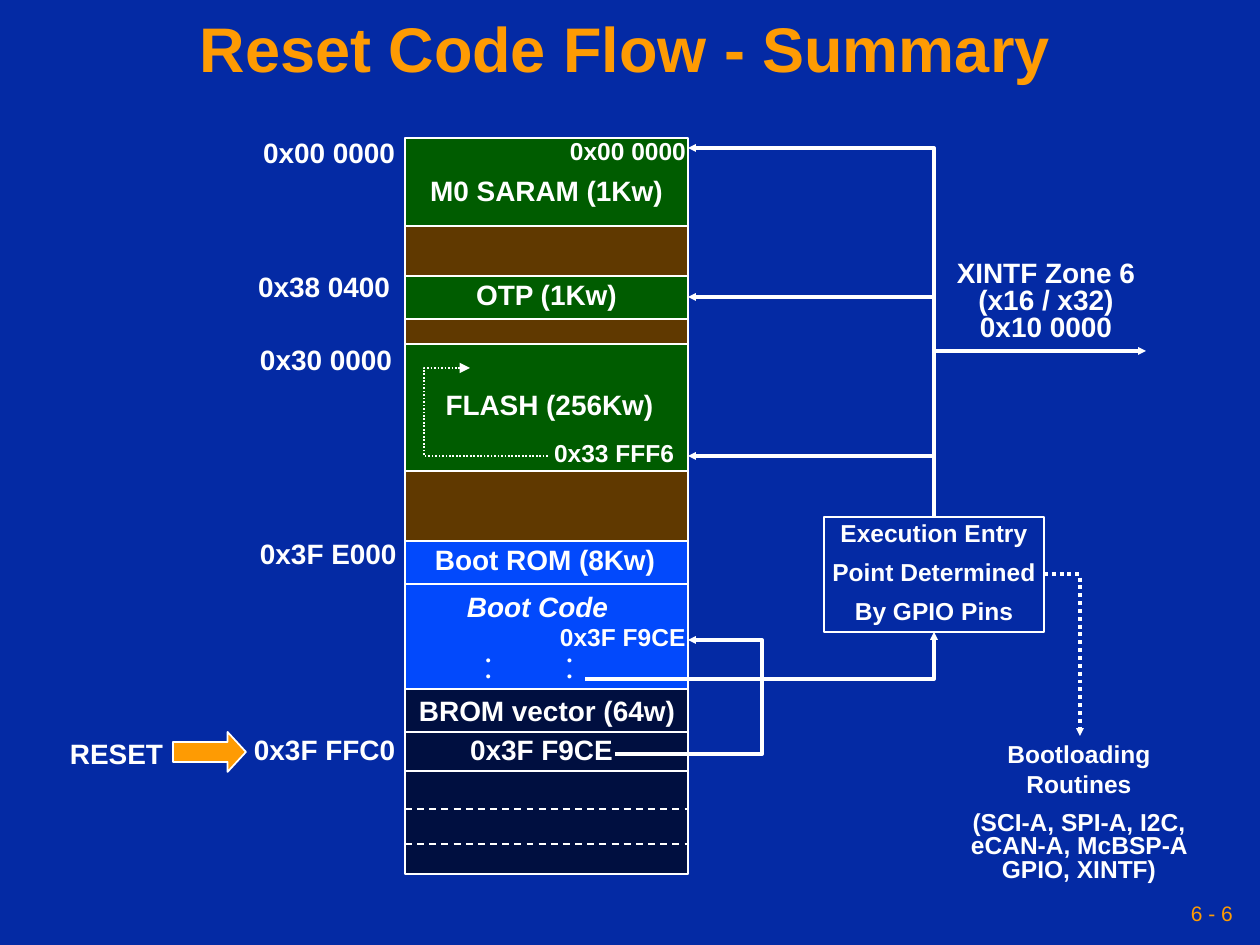
from lxml import etree
from pptx import Presentation
from pptx.dml.color import RGBColor
from pptx.enum.dml import MSO_LINE
from pptx.enum.shapes import MSO_CONNECTOR, MSO_SHAPE
from pptx.enum.text import MSO_ANCHOR, MSO_AUTO_SIZE, PP_ALIGN
from pptx.oxml.ns import qn
from pptx.util import Emu, Pt

STRAIGHT, ELBOW = MSO_CONNECTOR.STRAIGHT, MSO_CONNECTOR.ELBOW
RECTANGLE, RIGHT_ARROW = MSO_SHAPE.RECTANGLE, MSO_SHAPE.RIGHT_ARROW
DASH, DOTS = MSO_LINE.DASH, MSO_LINE.ROUND_DOT
LEFT, CENTER, RIGHT = PP_ALIGN.LEFT, PP_ALIGN.CENTER, PP_ALIGN.RIGHT
TOP, MIDDLE, BOTTOM = MSO_ANCHOR.TOP, MSO_ANCHOR.MIDDLE, MSO_ANCHOR.BOTTOM
NO_AUTOFIT = MSO_AUTO_SIZE.NONE
BOX_BOTTOM, BOX_RIGHT = 2, 3

BLUE = RGBColor(0x04, 0x2A, 0xA4)
ORANGE = RGBColor(0xFE, 0x9B, 0x03)
WHITE = RGBColor(0xFF, 0xFF, 0xFF)
GREEN = RGBColor(0x00, 0x5C, 0x00)
BROWN = RGBColor(0x60, 0x39, 0x00)
BOOT_BLUE = RGBColor(0x02, 0x49, 0xFC)
NAVY = RGBColor(0x00, 0x0F, 0x40)

MAP_LEFT, MAP_WIDTH = 405, 283
MAP_RIGHT = MAP_LEFT + MAP_WIDTH
TRUNK_X = 934  # the vertical line above the entry point box
EVEN_INSETS = (13, 6, 13, 6)
LABEL_INSETS = (13, 6, 0, 6)  # no right inset, so that each label keeps to one line

# top, height, colour, label, text format
MEMORY_BLOCKS = [
    (689, 185, NAVY, [], {}),
    (193, 151, BROWN, [], {}),
    (138, 88, GREEN, ["M0 SARAM (1Kw)"], dict(anchor=BOTTOM, insets=(13, 44, 13, 19))),
    (470, 71, BROWN, [], {}),
    (541, 148, BOOT_BLUE, [], {}),
    (344, 127, GREEN, ["FLASH (256Kw)"], dict(insets=(19, 6, 13, 6))),
    (276, 43, GREEN, ["OTP (1Kw)"], {}),
]
DIVIDERS = [(584, None), (732, None), (771, None), (809, DASH), (844, DASH)]

# text, left, top, width, height, text format
LABELS = [
    ("0x00 0000", 250, 136, 157, 40, {}),
    ("0x38 0400", 245, 270, 157, 40, {}),
    ("0x30 0000", 247, 343, 157, 40, {}),
    ("0x3F E000", 247, 537, 161, 40, {}),
    ("0x3F FFC0", 241, 733, 166, 40, {}),
    ("RESET", 57, 737, 118, 40, {}),
    ("Boot ROM (8Kw)", 422, 543, 246, 40, {}),
    ("Boot Code", 454, 590, 166, 40, dict(italic=True)),
    ("BROM vector (64w)", 406, 694, 281, 40, {}),
    ("0x3F F9CE", 457, 733, 168, 40, {}),
    ("0x00 0000", 557, 136, 141, 37, dict(size=14)),
    ("0x33 FFF6", 541, 438, 145, 37, dict(size=14)),
    ("0x3F F9CE", 547, 622, 150, 37, dict(size=14)),
]
ELLIPSIS_DOTS = [(x, y) for x in (473, 554) for y in (649, 665)]

ENTRY_POINT = ["Execution Entry", "Point Determined", "By GPIO Pins"]
XINTF = ["XINTF Zone 6", "(x16 / x32)", "0x10 0000"]
BOOTLOADING = ["Bootloading", "Routines", "(SCI-A, SPI-A, I2C, eCAN-A, McBSP-A GPIO, XINTF)"]


def px(value):
    return Emu(round(value * 914400 / 126))


def write(shape, lines, size=16, color=WHITE, bold=True, italic=False, align=LEFT,
          anchor=TOP, insets=EVEN_INSETS, spacing=0.8, gap=0, wrap=False):
    """Fill a shape with paragraphs; spacing is one value or one per line."""
    frame = shape.text_frame
    frame.word_wrap = wrap
    frame.auto_size = NO_AUTOFIT
    frame.vertical_anchor = anchor
    (frame.margin_left, frame.margin_top,
     frame.margin_right, frame.margin_bottom) = map(px, insets)
    spacings = spacing if isinstance(spacing, list) else [spacing] * len(lines)
    for index, (line, line_spacing) in enumerate(zip(lines, spacings)):
        paragraph = frame.add_paragraph() if index else frame.paragraphs[0]
        paragraph.alignment = align
        paragraph.line_spacing = line_spacing
        paragraph.space_before = Pt(gap if index else 0)
        run = paragraph.add_run()
        run.text = line
        font = run.font
        font.name, font.size, font.bold, font.italic = "Arial", Pt(size), bold, italic
        font.color.rgb = color


def add_label(slide, lines, left, top, width, height, **text_format):
    box = slide.shapes.add_textbox(px(left), px(top), px(width), px(height))
    write(box, lines, **{"insets": LABEL_INSETS, **text_format})


def add_block(slide, kind, left, top, width, height, color):
    block = slide.shapes.add_shape(kind, px(left), px(top), px(width), px(height))
    block.shadow.inherit = False
    block.fill.solid()
    block.fill.fore_color.rgb = color
    style_line(block)
    return block


def style_line(shape, width=1, dash=None, arrow=None):
    """Set the outline; arrow is the size of the arrowhead, sm or med."""
    shape.line.color.rgb = WHITE
    shape.line.width = Pt(width)
    if dash:
        shape.line.dash_style = dash
    if arrow:
        outline = shape._element.spPr.find(qn("a:ln"))
        etree.SubElement(outline, qn("a:tailEnd"), type="triangle", w=arrow, len=arrow)


def add_link(slide, kind, begin, end, **line_format):
    link = slide.shapes.add_connector(kind, *map(px, (*begin, *end)))
    style_line(link, **line_format)
    etree.SubElement(link._element.spPr, qn("a:effectLst"))
    return link


def add_corner(slide, begin, end, upright=False, **line_format):
    """Elbow with one bend; upright ones leave vertically, up and to the left."""
    if upright:
        center_x, center_y = (begin[0] + end[0]) / 2, (begin[1] + end[1]) / 2
        half_run, half_rise = (begin[1] - end[1]) / 2, (begin[0] - end[0]) / 2
        begin = center_x - half_run, center_y + half_rise
        end = center_x + half_run, center_y - half_rise
    corner = add_link(slide, ELBOW, begin, end, width=2.25, arrow="sm", **line_format)
    properties = corner._element.spPr
    properties.find(qn("a:prstGeom")).set("prst", "bentConnector2")
    if upright:
        properties.find(qn("a:xfrm")).set("rot", "16200000")
    return corner


def add_memory_map(slide):
    for top, height, color, label, text_format in MEMORY_BLOCKS:
        block = add_block(slide, RECTANGLE, MAP_LEFT, top, MAP_WIDTH, height, color)
        if label:
            write(block, label, **{"align": CENTER, "anchor": MIDDLE, **text_format})
    for y, dash in DIVIDERS:
        add_link(slide, STRAIGHT, (MAP_LEFT, y), (MAP_RIGHT, y), dash=dash)
    for text, left, top, width, height, text_format in LABELS:
        add_label(slide, [text], left, top, width, height, **text_format)
    for left, top in ELLIPSIS_DOTS:
        add_label(slide, ["•"], left, top, 30, 26, size=8)
    reset_arrow = add_block(slide, RIGHT_ARROW, 173, 732, 73, 40, ORANGE)
    reset_arrow.adjustments[1] = 0.46


def add_flow(slide):
    entry = add_block(slide, RECTANGLE, 824, 517, 220, 115, BLUE)
    write(entry, ENTRY_POINT, size=14, align=CENTER, anchor=MIDDLE, gap=8.8)
    for y in (148, 297, 456):
        add_corner(slide, (TRUNK_X, 517), (MAP_RIGHT, y), upright=True)
    add_corner(slide, (585, 679), (TRUNK_X, 632)).end_connect(entry, BOX_BOTTOM)
    add_corner(slide, (1044, 574), (1080, 736), dash=DOTS).begin_connect(entry, BOX_RIGHT)
    add_link(slide, STRAIGHT, (TRUNK_X, 351), (1146, 351), width=2.25, arrow="sm")

    vector_jump = add_link(slide, ELBOW, (615, 754), (MAP_RIGHT, 640), width=2.25, arrow="sm")
    bend = round((762 - 615) / (MAP_RIGHT - 615) * 100000)
    adjustments = vector_jump._element.spPr.find(qn("a:prstGeom")).get_or_add_avLst()
    etree.SubElement(adjustments, qn("a:gd"), name="adj1", fmla=f"val {bend}")

    outline = slide.shapes.build_freeform(px(548), px(456))
    outline.add_line_segments([(px(x), px(y)) for x, y in ((424, 456), (424, 368), (470, 368))],
                              close=False)
    flash_jump = outline.convert_to_shape()
    flash_jump.shadow.inherit = False
    flash_jump.fill.background()
    style_line(flash_jump, dash=DOTS, arrow="med")

    add_label(slide, XINTF, 922, 256, 248, 93, align=CENTER, insets=EVEN_INSETS, wrap=True)
    add_label(slide, BOOTLOADING, 926, 746, 306, 144, size=14, align=CENTER,
              insets=EVEN_INSETS, spacing=[0.5, 0.5, 0.8], gap=8.8, wrap=True)


def main():
    deck = Presentation()
    deck.slide_width, deck.slide_height = px(1260), px(945)
    slide = deck.slides.add_slide(deck.slide_layouts[5])
    slide.background.fill.solid()
    slide.background.fill.fore_color.rgb = BLUE

    title = slide.shapes.title
    title.left, title.top, title.width, title.height = map(px, (0, 0, 1250, 105))
    write(title, ["Reset Code Flow - Summary"], size=36, color=ORANGE, align=CENTER,
          anchor=MIDDLE, insets=(6, 6, 6, 6), spacing=0.9, wrap=True)
    add_memory_map(slide)
    add_flow(slide)
    add_label(slide, ["6 - 6"], 861, 892, 378, 42, size=12, color=ORANGE, bold=False,
              align=RIGHT, anchor=MIDDLE, insets=(6, 6, 6, 6), spacing=1, wrap=True)
    deck.save("out.pptx")


if __name__ == "__main__":
    main()
